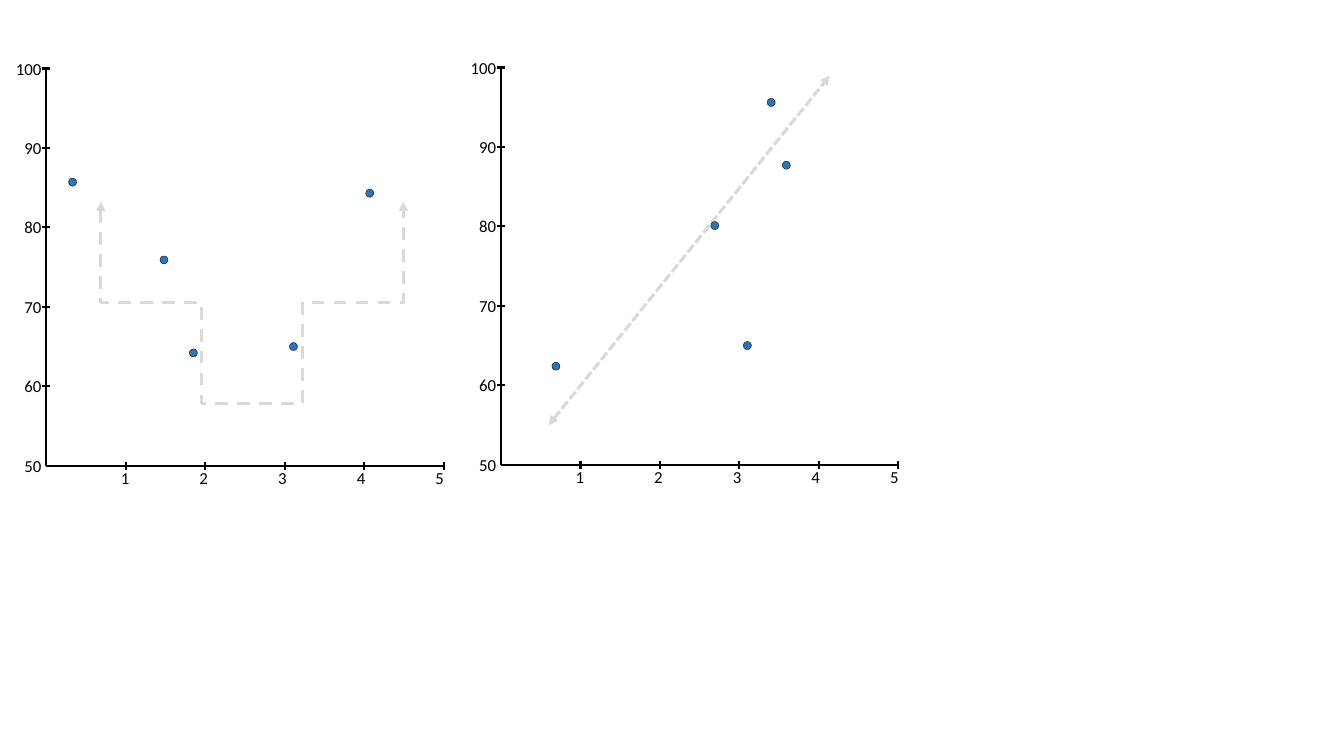
from dataclasses import dataclass

from lxml import etree
from pptx import Presentation
from pptx import util as u
from pptx.dml.color import RGBColor
from pptx.enum import dml, shapes, text
from pptx.oxml.ns import qn


@dataclass(frozen=True)
class Theme:
    font: str = "Calibri"
    label_size: float = 12
    ink: str = "000000"
    dot: str = "2E75B6"
    trend: str = "D9D9D9"
    axis_width: float = 1.5
    trend_width: float = 2.25
    dot_width: float = 0.25


THEME = Theme()

# Plot geometry, in inches, and the value ranges of the axes
AXIS = 3.94
X_TICKS = range(1, 6)
Y_TICKS = range(60, 101, 10)
Y_MIN, Y_STEP = 50, 10
STEP = AXIS / len(X_TICKS)
TICK = 0.08
DOT = 0.08
LABEL_STEP = 0.78

CURVED_ORIGIN = (0.46, 4.62)
CURVED_POINTS = [(3.11, 65.0), (4.07, 84.3), (1.85, 64.2), (1.48, 75.9), (0.33, 85.7)]
CURVE = [
    [(0.98, 1.75), (1.45, 2.64), (1.92, 3.54), (2.42, 3.58)],
    [(2.42, 3.58), (2.91, 3.62), (3.43, 2.81), (3.94, 2.01)],
]
LINEAR_ORIGIN = (4.97, 4.61)
LINEAR_POINTS = [(3.1, 65.0), (3.59, 87.7), (2.69, 80.1), (0.69, 62.4), (3.4, 95.6)]
LINEAR_TREND = [(5.44, 4.22), (8.23, 0.75)]


def format_line(line, color, width, dash=None, arrows=False):
    line.color.rgb = RGBColor.from_string(color)
    line.width = u.Pt(width)
    if dash is not None:
        line.dash_style = dash
    if arrows:
        ln = line._get_or_add_ln()
        for end in ("a:headEnd", "a:tailEnd"):
            etree.SubElement(ln, qn(end), type="triangle")


def add_line(parent, start, end, color=THEME.ink, width=THEME.axis_width, **style):
    ends = [u.Inches(v) for v in (*start, *end)]
    sp = parent.add_connector(shapes.MSO_CONNECTOR.STRAIGHT, *ends)
    format_line(sp.line, color, width, **style)
    etree.SubElement(sp._element.spPr, qn("a:effectLst"))


def add_text(parent, content, left, top, width, height=0.3,
             align=text.PP_ALIGN.LEFT, wrap=False, tab_step=None):
    box = parent.add_textbox(*[u.Inches(v) for v in (left, top, width, height)])
    tf = box.text_frame
    tf.word_wrap = wrap
    tf.auto_size = text.MSO_AUTO_SIZE.SHAPE_TO_FIT_TEXT
    p = tf.paragraphs[0]
    p.alignment = align
    r = p.add_run()
    r.text = content
    r.font.name = THEME.font
    r.font.size = u.Pt(THEME.label_size)
    r.font.color.rgb = RGBColor.from_string(THEME.ink)
    if tab_step:
        tabs = etree.SubElement(p._p.get_or_add_pPr(), qn("a:tabLst"))
        for i in range(1, content.count("\t") + 1):
            etree.SubElement(tabs, qn("a:tab"), pos=str(u.Inches(i * tab_step)), algn="l")


def add_axes(parent, origin):
    x0, y0 = origin
    add_line(parent, (x0, y0 - AXIS), origin)
    add_line(parent, (x0 + AXIS, y0), origin)
    half = TICK / 2
    for i in X_TICKS:
        x = x0 + i * STEP
        add_line(parent, (x, y0 - half), (x, y0 + half))
    for value in Y_TICKS:
        y = y_position(y0, value)
        add_line(parent, (x0 - half, y), (x0 + half, y))

    # Axis labels
    add_text(parent, "\t".join(map(str, X_TICKS)), x0 + 0.64, y0 - 0.03, 3.49,
             wrap=True, tab_step=LABEL_STEP)
    for value in (Y_MIN, *Y_TICKS):
        label = str(value)
        width = 0.19 + 0.09 * len(label)
        add_text(parent, label, x0 + 0.05 - width, y_position(y0, value) - 0.15,
                 width, align=text.PP_ALIGN.RIGHT)


def y_position(y0, value):
    return y0 - (value - Y_MIN) / Y_STEP * STEP


def add_dots(parent, origin, points):
    x0, y0 = origin
    for x, y in points:
        left = x0 + x * STEP - DOT / 2
        top = y_position(y0, y) - DOT / 2
        sp = parent.add_shape(shapes.MSO_SHAPE.OVAL, u.Inches(left), u.Inches(top),
                              u.Inches(DOT), u.Inches(DOT))
        sp.shadow.inherit = False
        sp.fill.solid()
        sp.fill.fore_color.rgb = RGBColor.from_string(THEME.dot)
        format_line(sp.line, THEME.ink, THEME.dot_width)


def bezier_point(controls, t):
    weights = ((1 - t) ** 3, 3 * t * (1 - t) ** 2, 3 * t ** 2 * (1 - t), t ** 3)
    return tuple(sum(w * c[axis] for w, c in zip(weights, controls)) for axis in (0, 1))


def add_curve(parent, segments, samples=16):
    points = [bezier_point(seg, i / samples)
              for seg in segments for i in range(1, samples + 1)]
    builder = parent.build_freeform(*segments[0][0], scale=u.Inches(1))
    builder.add_line_segments(points, close=False)
    sp = builder.convert_to_shape()
    sp.shadow.inherit = False
    sp.fill.background()
    format_line(sp.line, THEME.trend, THEME.trend_width,
                dash=dml.MSO_LINE.DASH, arrows=True)


def add_plot(parent, origin, points):
    add_axes(parent, origin)
    add_dots(parent, origin, points)


def main():
    prs = Presentation()
    prs.slide_width, prs.slide_height = u.Inches(13.33), u.Inches(7.5)
    s = prs.slides.add_slide(prs.slide_layouts[6])

    # Linear relationship, on the right
    add_line(s.shapes, *LINEAR_TREND, color=THEME.trend, width=THEME.trend_width,
             dash=dml.MSO_LINE.SQUARE_DOT, arrows=True)
    add_plot(s.shapes, LINEAR_ORIGIN, LINEAR_POINTS)

    # Curved relationship, on the left
    add_plot(s.shapes.add_group_shape().shapes, CURVED_ORIGIN, CURVED_POINTS)
    add_curve(s.shapes, CURVE)

    prs.save("out.pptx")


if __name__ == "__main__":
    main()
